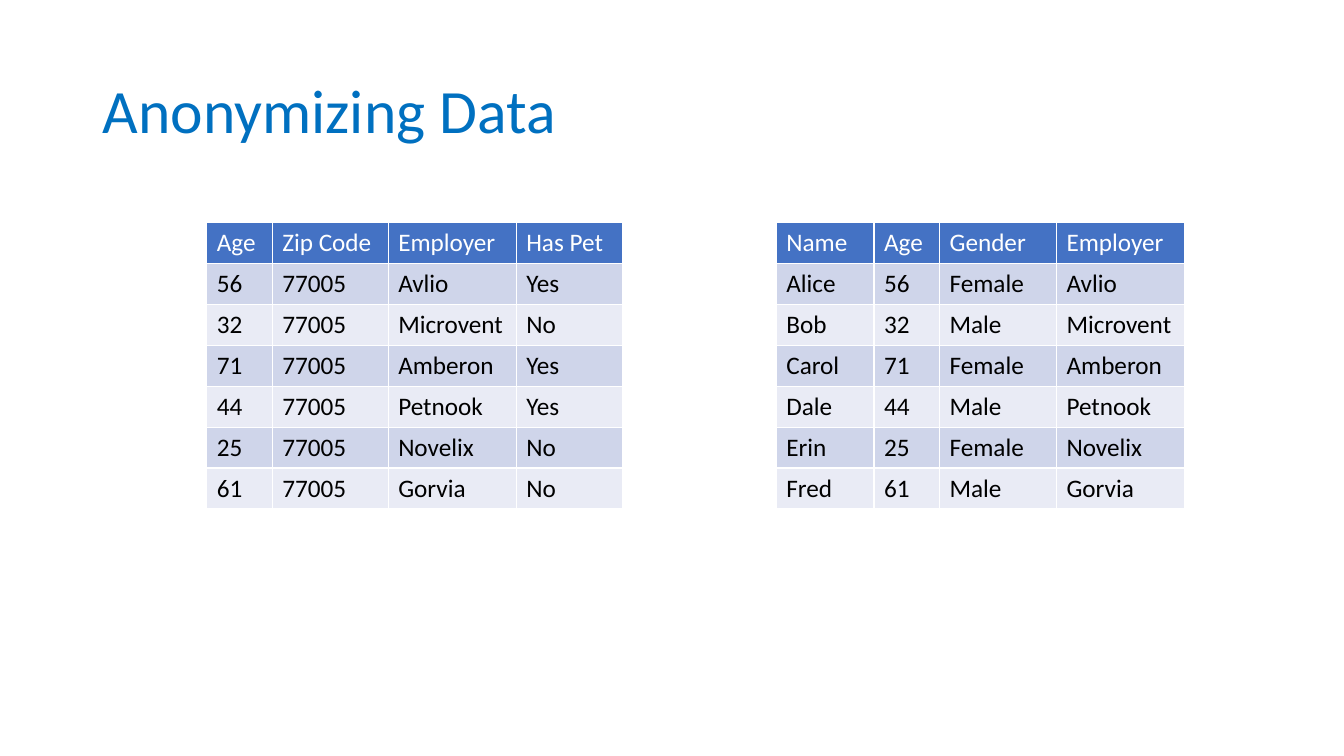
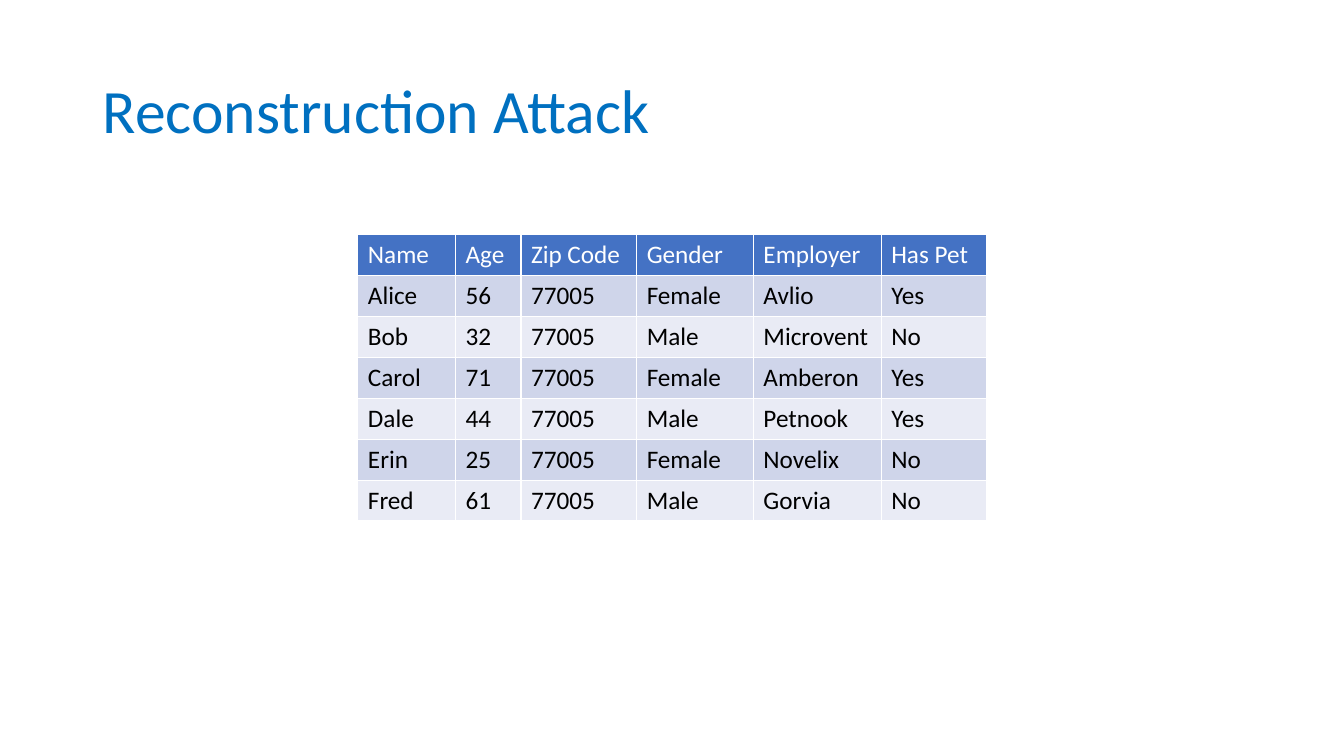
from lxml import etree
from pptx import Presentation
from pptx import util as u
from pptx.dml.color import RGBColor
from pptx.enum import text
from pptx.oxml.ns import qn

INK = {"title": "0070C0", "head": "4472C4", "odd": "CFD5EA",
       "even": "E9EBF5", "rule": "FFFFFF", "body": "000000"}
FACE = "Calibri"
WIDE, HIGH = u.Inches(13.33), u.Inches(7.5)

# People: each field with its relative column width and its values
DATA = {
    "Name": (97, ["Alice", "Bob", "Carol", "Dale", "Erin", "Fred"]),
    "Age": (65, ["56", "32", "71", "44", "25", "61"]),
    "Zip Code": (115, ["77005"] * 6),
    "Gender": (116, ["Female", "Male"] * 3),
    "Employer": (127, ["Avlio", "Microvent", "Amberon",
                       "Petnook", "Novelix", "Gorvia"]),
    "Has Pet": (105, ["Yes", "No", "Yes", "Yes", "No", "No"]),
}

# Boxes: left, top, width, height in percent of the slide
TITLE = (6.9, 5.33, 86.27, 19.33)
SLIDES = [
    ("Anonymizing Data", [
        ((15.38, 29.47, 30.91, 37.87),
         ["Age", "Zip Code", "Employer", "Has Pet"]),
        ((57.76, 29.47, 30.38, 37.87),
         ["Name", "Age", "Gender", "Employer"]),
    ]),
    ("Reconstruction Attack", [
        ((26.63, 31.07, 46.81, 37.87), list(DATA)),
    ]),
]


def place(box):
    return [round(part * side / 100)
            for part, side in zip(box, (WIDE, HIGH, WIDE, HIGH))]


def write(frame, words, size=18, ink="body", line=None):
    para = frame.paragraphs[0]
    para.text = words
    para.alignment = text.PP_ALIGN.LEFT
    para.line_spacing = line
    font = para.runs[0].font
    font.name, font.size, font.bold = FACE, u.Pt(size), False
    font.color.rgb = RGBColor.from_string(INK[ink])


def paint(cell, fill):
    # Borders come before the fill in the cell's properties
    props = cell._tc.get_or_add_tcPr()
    for side in ("a:lnL", "a:lnR", "a:lnT", "a:lnB"):
        edge = etree.SubElement(props, qn(side), w=str(u.Pt(1)))
        solid = etree.SubElement(edge, qn("a:solidFill"))
        etree.SubElement(solid, qn("a:srgbClr"), val=INK["rule"])
    cell.fill.solid()
    cell.fill.fore_color.rgb = RGBColor.from_string(INK[fill])


def add_title(slide, words):
    title = slide.shapes.title
    title.left, title.top, title.width, title.height = place(TITLE)
    title.text_frame.vertical_anchor = text.MSO_ANCHOR.MIDDLE
    write(title.text_frame, words, size=44, ink="title", line=0.9)


def add_grid(slide, box, fields):
    left, top, wide, high = place(box)
    rows = [fields, *zip(*(DATA[field][1] for field in fields))]
    grid = slide.shapes.add_table(len(rows), len(fields),
                                  left, top, wide, high).table
    total = sum(DATA[field][0] for field in fields)
    for col, field in zip(grid.columns, fields):
        col.width = round(wide * DATA[field][0] / total)
    for r, row in enumerate(rows):
        fill = "head" if r == 0 else "odd" if r % 2 else "even"
        for c, words in enumerate(row):
            cell = grid.cell(r, c)
            paint(cell, fill)
            write(cell.text_frame, words, ink="body" if r else "rule")


def main():
    deck = Presentation()
    deck.slide_width, deck.slide_height = WIDE, HIGH
    for words, grids in SLIDES:
        slide = deck.slides.add_slide(deck.slide_layouts[5])
        add_title(slide, words)
        for box, fields in grids:
            add_grid(slide, box, fields)
    deck.save("out.pptx")


if __name__ == "__main__":
    main()
